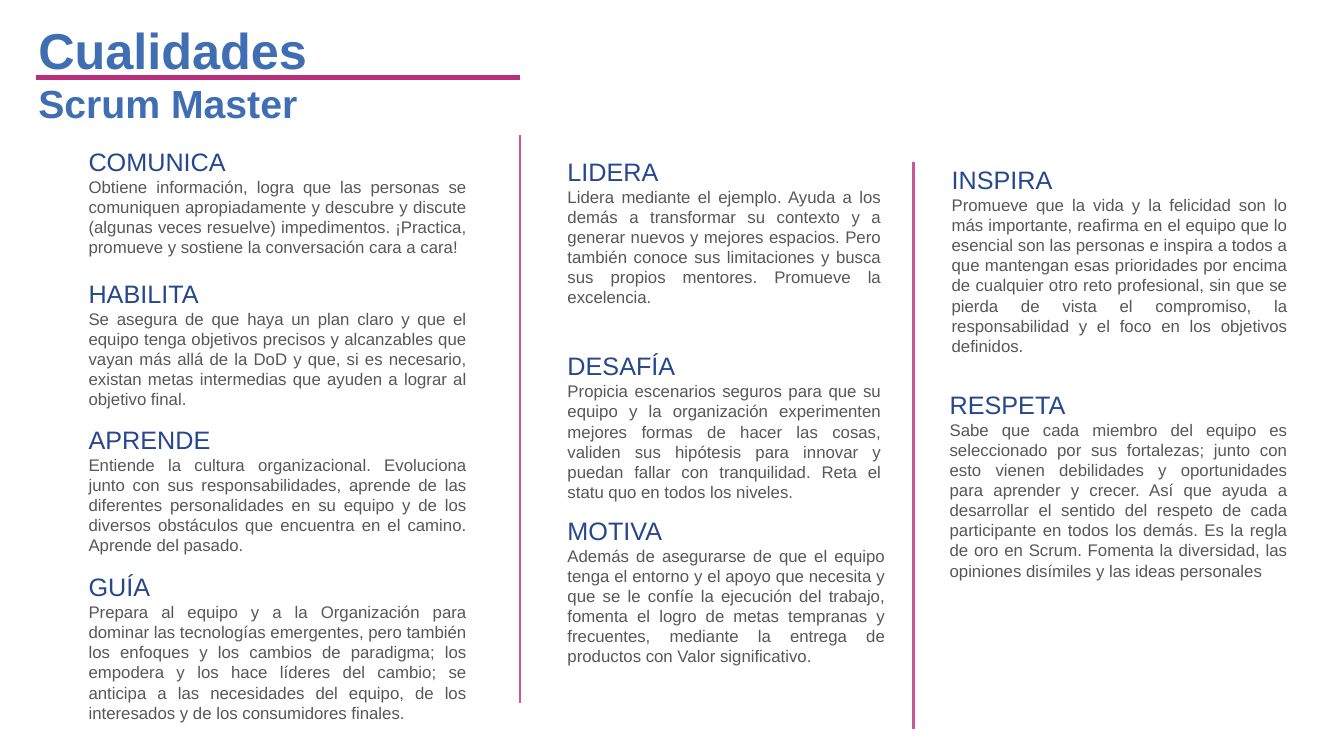
"""Build the slide on the qualities of a Scrum Master."""
import pptx
import pptx.chart.data
import pptx.dml.color
import pptx.enum.shapes
import pptx.enum.text
import pptx.oxml
import pptx.oxml.ns
import pptx.util

PX = 9144
FONT = "Arial"
TITLE_BLUE, HEADING_BLUE, BODY_GREY = "406EB3", "26478D", "575756"
TITLE_PINK, DIVIDER_PINK = "BA2F7D", "C85997"

TITLE = [("Cualidades", 36), ("Scrum Master", 28)]
TITLE_BOX = (28, 14, 289, 118)

QUALITIES = [
    ("COMUNICA", (78, 140, 395, 121),
     "Obtiene información, logra que las personas se comuniquen apropiadamente y descubre y discute "
     "(algunas veces resuelve) impedimentos. ¡Practica, promueve y sostiene la conversación cara a cara!"),
    ("HABILITA", (78, 271, 395, 141),
     "Se asegura de que haya un plan claro y que el equipo tenga objetivos precisos y alcanzables que "
     "vayan más allá de la DoD y que, si es necesario, existan metas intermedias que ayuden a lograr al "
     "objetivo final."),
    ("APRENDE", (78, 416, 395, 141),
     "Entiende la cultura organizacional. Evoluciona junto con sus responsabilidades, aprende de las "
     "diferentes personalidades en su equipo y de los diversos obstáculos que encuentra en el camino. "
     "Aprende del pasado."),
    ("GUÍA", (78, 562, 395, 162),
     "Prepara al equipo y a la Organización para dominar las tecnologías emergentes, pero también los "
     "enfoques y los cambios de paradigma; los empodera y los hace líderes del cambio; se anticipa a las "
     "necesidades del equipo, de los interesados y de los consumidores finales."),
    ("LIDERA", (553, 150, 331, 162),
     "Lidera mediante el ejemplo. Ayuda a los demás a transformar su contexto y a generar nuevos y "
     "mejores espacios. Pero también conoce sus limitaciones y busca sus propios mentores. Promueve la "
     "excelencia."),
    ("DESAFÍA", (553, 343, 331, 162),
     "Propicia escenarios seguros para que su equipo y la organización experimenten mejores formas de "
     "hacer las cosas, validen sus hipótesis para innovar y puedan fallar con tranquilidad. Reta el "
     "statu quo en todos los niveles."),
    ("MOTIVA", (553, 506, 335, 162),
     "Además de asegurarse de que el equipo tenga el entorno y el apoyo que necesita y que se le confíe "
     "la ejecución del trabajo, fomenta el logro de metas tempranas y frecuentes, mediante la entrega de "
     "productos con Valor significativo."),
    ("INSPIRA", (934, 158, 353, 202),
     "Promueve que la vida y la felicidad son lo más importante, reafirma en el equipo que lo esencial "
     "son las personas e inspira a todos a que mantengan esas prioridades por encima de cualquier otro "
     "reto profesional, sin que se pierda de vista el compromiso, la responsabilidad y el foco en los "
     "objetivos definidos."),
    ("RESPETA", (932, 381, 355, 202),
     "Sabe que cada miembro del equipo es seleccionado por sus fortalezas; junto con esto vienen "
     "debilidades y oportunidades para aprender y crecer. Así que ayuda a desarrollar el sentido del "
     "respeto de cada participante en todos los demás. Es la regla de oro en Scrum. Fomenta la "
     "diversidad, las opiniones disímiles y las ideas personales"),
]

RULES = [
    ((36, 77, 516, 77), TITLE_PINK, 3),
    ((516, 134, 516, 697), DIVIDER_PINK, 1.5),
    ((906, 161, 906, 723), DIVIDER_PINK, 1.5),
]


def rgb(value):
    return pptx.dml.color.RGBColor.from_string(value)


def emu(lengths):
    return [length * PX for length in lengths]


def write(frame, lines, wrap):
    frame.word_wrap = wrap
    frame.auto_size = pptx.enum.text.MSO_AUTO_SIZE.SHAPE_TO_FIT_TEXT
    frame.vertical_anchor = pptx.enum.text.MSO_ANCHOR.TOP
    for index, (text, size, color, bold, align) in enumerate(lines):
        paragraph = frame.add_paragraph() if index else frame.paragraphs[0]
        paragraph.text = text
        paragraph.alignment = align
        paragraph.font.name = FONT
        paragraph.font.size = pptx.util.Pt(size)
        paragraph.font.bold = bold
        paragraph.font.color.rgb = rgb(color)


def add_rule(slide, ends, color, width):
    rule = slide.shapes.add_connector(pptx.enum.shapes.MSO_CONNECTOR.STRAIGHT, *emu(ends))
    rule.line.color.rgb = rgb(color)
    rule.line.width = pptx.util.Pt(width)
    rule._element.spPr.append(pptx.oxml.parse_xml(f"<a:effectLst {pptx.oxml.ns.nsdecls('a')}/>"))


def main():
    left, justify = pptx.enum.text.PP_ALIGN.LEFT, pptx.enum.text.PP_ALIGN.JUSTIFY
    deck = pptx.Presentation()
    deck.slide_width, deck.slide_height = emu((1333, 750))
    slide = deck.slides.add_slide(deck.slide_layouts.get_by_name("Title Only"))

    title = slide.shapes.title
    title.left, title.top, title.width, title.height = emu(TITLE_BOX)
    write(title.text_frame, [(text, size, TITLE_BLUE, True, left) for text, size in TITLE], False)

    for heading, box, description in QUALITIES:
        quality = slide.shapes.add_textbox(*emu(box))
        write(quality.text_frame, [(heading, 18, HEADING_BLUE, False, left),
                                   (description, 12, BODY_GREY, False, justify)], True)

    for ends, color, width in RULES:
        add_rule(slide, ends, color, width)

    deck.save("out.pptx")


if __name__ == "__main__":
    main()
